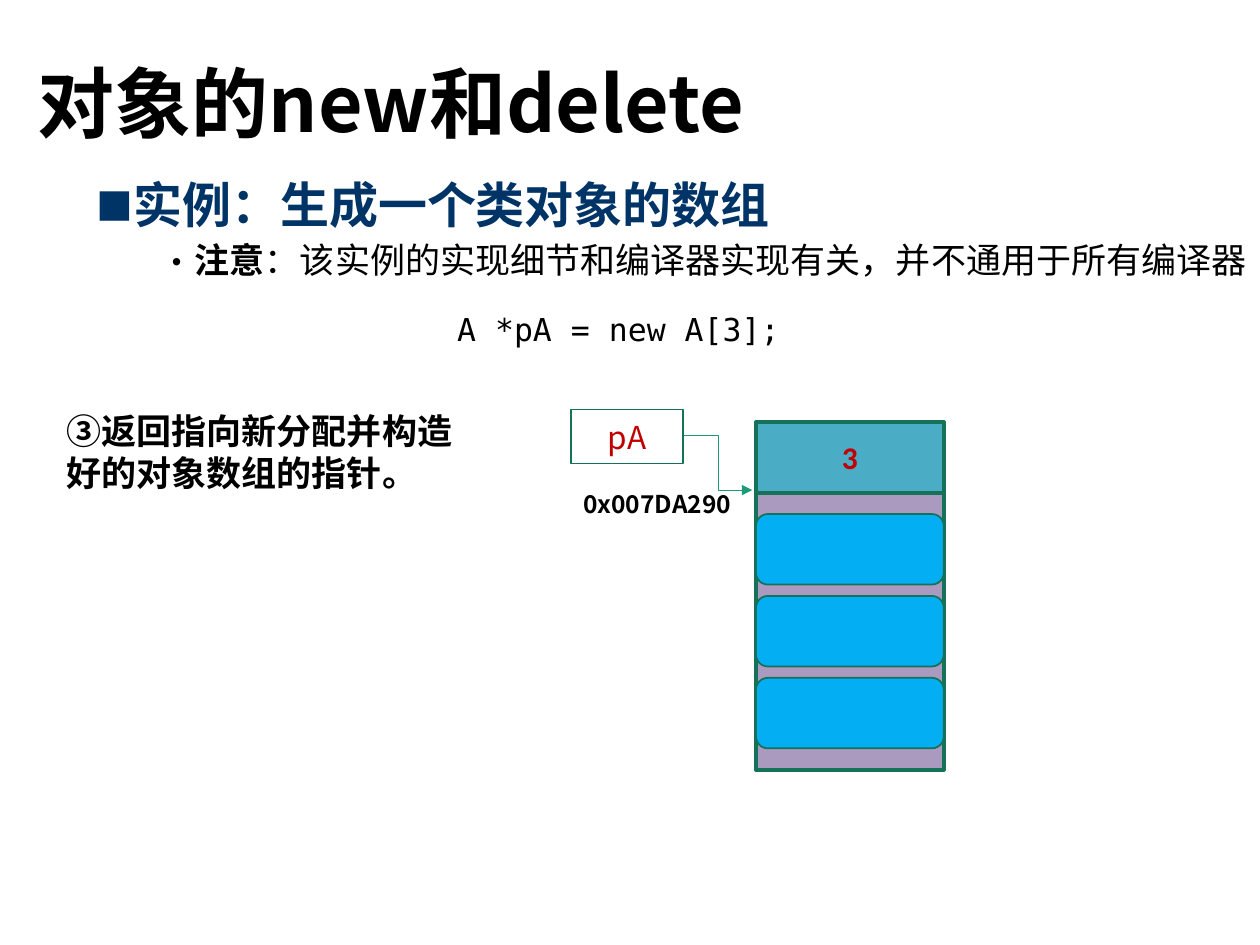
from lxml import etree
from pptx import Presentation
from pptx import util as u
from pptx.dml.color import RGBColor
from pptx.enum import shapes, text
from pptx.oxml.ns import qn

BLACK = RGBColor(0x00, 0x00, 0x00)
WHITE = RGBColor(0xFF, 0xFF, 0xFF)
NAVY = RGBColor(0x00, 0x33, 0x66)
RED = RGBColor(0xC0, 0x00, 0x00)
GREEN = RGBColor(0x15, 0x72, 0x59)
ARROW_GREEN = RGBColor(0x1D, 0x9A, 0x78)
PURPLE = RGBColor(0xAA, 0x9A, 0xBF)
TEAL = RGBColor(0x4A, 0xAC, 0xC5)
BLUE = RGBColor(0x03, 0xAE, 0xF3)
SANS = "Noto Sans CJK SC"
MONO = "DejaVu Sans Mono"


def add_text(para, words, size=18, font=SANS, color=BLACK, bold=False):
    span = para.add_run()
    span.text = words
    span.font.size = u.Pt(size)
    span.font.name = font
    span.font.bold = bold
    span.font.color.rgb = color
    east_asian = etree.SubElement(span._r.get_or_add_rPr(), qn("a:ea"))
    east_asian.set("typeface", SANS)


def add_block(page, kind, place, fill, line_width):
    block = page.shapes.add_shape(kind, *map(u.Inches, place))
    block.shadow.inherit = False
    block.fill.solid()
    block.fill.fore_color.rgb = fill
    block.line.color.rgb = GREEN
    block.line.width = u.Pt(line_width)
    para = block.text_frame.paragraphs[0]
    para.alignment = text.PP_ALIGN.CENTER
    block.text_frame.vertical_anchor = text.MSO_ANCHOR.MIDDLE
    return para


deck = Presentation()
deck.slide_width = u.Inches(10)
deck.slide_height = u.Inches(7.5)
page = deck.slides.add_slide(deck.slide_layouts[6])

RECT = shapes.MSO_SHAPE.RECTANGLE
ROUNDED = shapes.MSO_SHAPE.ROUNDED_RECTANGLE
add_block(page, RECT, (6, 3.9, 1.49, 2.21), PURPLE, 2.25)
count = add_block(page, RECT, (6, 3.35, 1.49, 0.56), TEAL, 2.25)
add_text(count, "3", font="Calibri", color=RED, bold=True)
for index in range(3):
    add_block(page, ROUNDED, (6, 4.08 + 0.65 * index, 1.49, 0.56), BLUE, 1)
pointer = add_block(page, RECT, (4.53, 3.25, 0.89, 0.43), WHITE, 1)
add_text(pointer, "pA", color=RED)

arrow = page.shapes.add_connector(
    shapes.MSO_CONNECTOR.ELBOW,
    u.Inches(5.43), u.Inches(3.46), u.Inches(5.97), u.Inches(3.89))
arrow.line.color.rgb = ARROW_GREEN
arrow.line.width = u.Pt(0.5)
etree.SubElement(arrow.line._get_or_add_ln(), qn("a:tailEnd")).set("type", "triangle")
etree.SubElement(arrow._element.spPr, qn("a:effectLst"))

labels = [
    ((0.2, 0.13, 8.62, 1.45), "对象的new和delete", dict(size=44, bold=True)),
    ((0.43, 3.2, 3.42, 0.77), "③返回指向新分配并构造好的对象数组的指针。", dict(size=20, bold=True)),
    ((4.53, 3.83, 1.47, 0.34), "0x007DA290", dict(size=14, bold=True)),
    ((3.53, 2.41, 2.8, 0.4), "A *pA = new A[3];", dict(font=MONO)),
]
for place, words, style in labels:
    box = page.shapes.add_textbox(*map(u.Inches, place))
    box.text_frame.word_wrap = True
    para = box.text_frame.paragraphs[0]
    if style.get("size") == 44:
        box.text_frame.vertical_anchor = text.MSO_ANCHOR.MIDDLE
        para.line_spacing = 0.9
    add_text(para, words, **style)

body = page.shapes.add_textbox(u.Inches(0.67), u.Inches(1.39), u.Inches(9.33), u.Inches(5.19))
body.text_frame.word_wrap = True
heading = body.text_frame.paragraphs[0]
note = body.text_frame.add_paragraph()
note.level = 1
for para, margin, before, bullet, percent in [
    (heading, 0.25, 10, "■", 75),
    (note, 0.75, 5, "•", 100),
]:
    para.line_spacing = 0.9
    para.space_before = u.Pt(before)
    props = para._p.get_or_add_pPr()
    props.set("marL", str(u.Inches(margin)))
    props.set("indent", str(u.Inches(-0.25)))
    etree.SubElement(props, qn("a:buSzPct")).set("val", str(percent * 1000))
    etree.SubElement(props, qn("a:buFont")).set("typeface", SANS)
    etree.SubElement(props, qn("a:buChar")).set("char", bullet)
add_text(heading, "实例：生成一个类对象的数组", size=28, font=MONO, color=NAVY, bold=True)
add_text(note, "注意", size=20, font=MONO, bold=True)
add_text(note, "：该实例的实现细节和编译器实现有关，并不通用于所有编译器", size=20, font=MONO)

deck.save("out.pptx")
